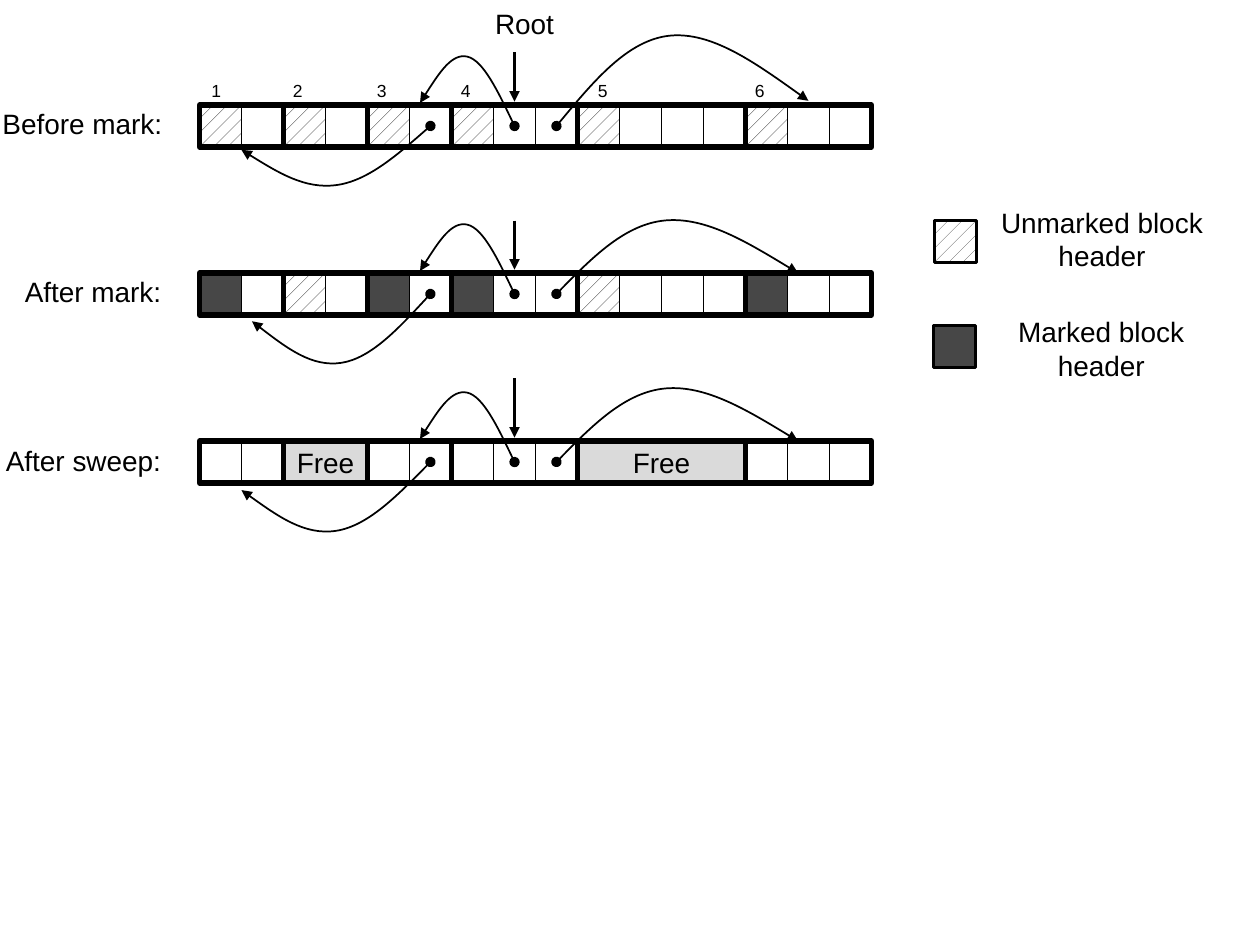
from dataclasses import dataclass
from itertools import accumulate

from pptx import Presentation
from pptx.dml.color import RGBColor
from pptx.enum.dml import MSO_PATTERN
from pptx.enum.shapes import MSO_CONNECTOR, MSO_SHAPE
from pptx.enum.text import MSO_ANCHOR, PP_ALIGN
from pptx.oxml.ns import qn
from pptx.util import Cm, Length, Pt
from lxml import etree

RECT = MSO_SHAPE.RECTANGLE
STRAIGHT = MSO_CONNECTOR.STRAIGHT
DOTS = MSO_PATTERN.PERCENT_10
LEFT, CENTER = PP_ALIGN.LEFT, PP_ALIGN.CENTER
TOP, MIDDLE = MSO_ANCHOR.TOP, MSO_ANCHOR.MIDDLE

BLACK = RGBColor(0x00, 0x00, 0x00)
WHITE = RGBColor(0xFF, 0xFF, 0xFF)
DARK = RGBColor(0x47, 0x47, 0x47)
SILVER = RGBColor(0xC0, 0xC0, 0xC0)
LIGHT = RGBColor(0xDA, 0xDA, 0xDA)

FONT = "Arial"
HEAP_LEFT = 4.75
BLOCK_SIZES = [2, 2, 2, 3, 4, 3]
BLOCK_STARTS = [0, *accumulate(BLOCK_SIZES[:-1])]
NUMBER_OFFSETS = [0.4, 0.34, 0.34, 0.34, 0.6, 0.34]
ROOT_X = 7.5

Point = tuple[float, float]


@dataclass(frozen=True)
class Arc:
    start: Point
    apex: Point
    end: Point

    def points(self) -> list[Point]:
        tangent = [(e - b) / 6 for b, e in zip(self.start, self.end)]
        before = (self.apex[0] - tangent[0], self.apex[1] - tangent[1])
        after = (self.apex[0] + tangent[0], self.apex[1] + tangent[1])
        return [self.start, middle(self.start, before), before, self.apex,
                after, middle(after, self.end), self.end]


@dataclass(frozen=True)
class Heap:
    label: str
    label_left: float
    label_width: float
    label_top: float
    top: float
    blocks: str
    root_start: float
    arcs: list[Arc]


@dataclass(frozen=True)
class Legend:
    kind: str
    left: float
    top: float
    lines: list[str]
    text_left: float
    text_top: float
    text_width: float


HOP = Arc((7.5, 0.5), (6.38, -1.15), (5.25, -0.05))
LEAP = Arc((8.5, 0.5), (11.1, -1.25), (14.25, 0))

HEAPS = [
    Heap("Before mark:", -0.2, 3.76, 2.03, 2.5, "UUUUUU", -1.25,
         [HOP, Arc((8.5, 0.5), (11.2, -1.65), (14.5, -0.1)),
          Arc((5.5, 0.5), (3.25, 1.91), (1, 1.07))]),
    Heap("After mark:", 0.25, 3.28, 5.41, 6.5, "MUMMUM", -1.25,
         [HOP, LEAP, Arc((5.5, 0.5), (3.38, 2.14), (1.25, 1.15))]),
    Heap("After sweep:", -0.13, 3.66, 8.81, 10.5, "PFPPFP", -1.5,
         [HOP, LEAP, Arc((5.5, 0.5), (3.25, 2.14), (1, 1.17))]),
]

LEGENDS = [
    Legend("U", 22.25, 5.25, ["Unmarked block", "header"], 19.84, 4.01, 4.75),
    Legend("M", 22.23, 7.75, ["Marked block", "header"], 20.27, 6.22, 3.86),
]


def middle(a: Point, b: Point) -> Point:
    return (a[0] + b[0]) / 2, (a[1] + b[1]) / 2


def cells(n: float) -> Length:
    return Cm(n * 2.54 / 3)


def write(shape, lines: list[str], size: int, align, anchor) -> None:
    tf = shape.text_frame
    tf.word_wrap = False
    tf.vertical_anchor = anchor
    for i, line in enumerate(lines):
        p = tf.paragraphs[0] if i == 0 else tf.add_paragraph()
        p.alignment = align
        r = p.add_run()
        r.text = line
        r.font.name = FONT
        r.font.size = Pt(size)
        r.font.color.rgb = BLACK


def add_text(s, lines: list[str], left: float, top: float, width: float,
             height: float, size: int = 16, align=LEFT, anchor=TOP) -> None:
    tb = s.shapes.add_textbox(Cm(left), Cm(top), Cm(width), Cm(height))
    write(tb, lines, size, align, anchor)


def set_line(shape, color: RGBColor, width: float) -> None:
    shape.line.color.rgb = color
    shape.line.width = Pt(width)


def set_ends(shape, **ends: str) -> None:
    ln = shape.line._get_or_add_ln()
    for tag, kind in ends.items():
        etree.SubElement(ln, qn(f"a:{tag}")).set("type", kind)


def add_box(s, x: float, y: float, width: float):
    sp = s.shapes.add_shape(RECT, cells(x), cells(y), cells(width), cells(1))
    sp.shadow.inherit = False
    sp.fill.background()
    sp.line.fill.background()
    return sp


def add_header(s, kind: str, x: float, y: float, ink: RGBColor = BLACK):
    sp = add_box(s, x, y, 1)
    if kind == "M":
        sp.fill.solid()
        sp.fill.fore_color.rgb = DARK
    else:
        sp.fill.patterned()
        sp.fill.pattern = DOTS
        sp.fill.fore_color.rgb = ink
        sp.fill.back_color.rgb = WHITE
        set_line(sp, SILVER, 1)
    return sp


def add_line(s, x: float, y1: float, y2: float, width: float):
    cn = s.shapes.add_connector(STRAIGHT, cells(x), cells(y1), cells(x), cells(y2))
    set_line(cn, BLACK, width)
    etree.SubElement(cn._element.spPr, qn("a:effectLst"))
    return cn


def add_arc(s, arc: Arc, top: float) -> None:
    pts = [(cells(HEAP_LEFT + x), cells(top + y)) for x, y in arc.points()]
    fb = s.shapes.build_freeform(*pts[0])
    fb.add_line_segments(pts[1:], close=False)
    sp = fb.convert_to_shape()
    outline = sp._element.xpath(".//a:path")[0]
    segments = outline.findall(qn("a:lnTo"))
    for i in range(0, len(segments), 3):
        curve = etree.SubElement(outline, qn("a:cubicBezTo"))
        for segment in segments[i:i + 3]:
            curve.append(segment[0])
            outline.remove(segment)
    sp.shadow.inherit = False
    sp.fill.background()
    set_line(sp, BLACK, 1)
    set_ends(sp, headEnd="oval", tailEnd="triangle")


def add_heap(s, heap: Heap) -> None:
    add_text(s, [heap.label], heap.label_left, heap.label_top, heap.label_width, 0.94)
    blocks = list(zip(heap.blocks, BLOCK_STARTS, BLOCK_SIZES))
    for kind, start, size in blocks:
        x = HEAP_LEFT + start
        if kind in "UM":
            add_header(s, kind, x, heap.top)
        if kind != "F":
            for i in range(1, size):
                add_line(s, x + i, heap.top, heap.top + 1, 1)
    for kind, start, size in blocks:
        sp = add_box(s, HEAP_LEFT + start, heap.top, size)
        set_line(sp, BLACK, 3)
        if kind == "F":
            sp.fill.solid()
            sp.fill.fore_color.rgb = LIGHT
            write(sp, ["Free"], 16, CENTER, MIDDLE)
    for arc in heap.arcs:
        add_arc(s, arc, heap.top)
    root = add_line(s, HEAP_LEFT + ROOT_X, heap.top + heap.root_start, heap.top - 0.08, 2)
    set_ends(root, tailEnd="triangle")


def add_legend(s, legend: Legend) -> None:
    sp = add_header(s, legend.kind, legend.left, legend.top, DARK)
    set_line(sp, BLACK, 2)
    add_text(s, legend.lines, legend.text_left, legend.text_top,
             legend.text_width, 1.63, align=CENTER)


def main() -> None:
    prs = Presentation()
    prs.slide_width, prs.slide_height = Cm(25.4), Cm(19.05)
    s = prs.slides.add_slide(prs.slide_layouts[6])
    for heap in HEAPS:
        add_heap(s, heap)
    add_text(s, ["Root"], 9.73, 0, 1.7, 0.94)
    for number, (start, offset) in enumerate(zip(BLOCK_STARTS, NUMBER_OFFSETS), 1):
        center = (HEAP_LEFT + start + offset) * 2.54 / 3
        add_text(s, [str(number)], center - 0.35, 1.48, 0.7, 0.69, 10, CENTER, MIDDLE)
    for legend in LEGENDS:
        add_legend(s, legend)
    prs.save("out.pptx")


if __name__ == "__main__":
    main()
